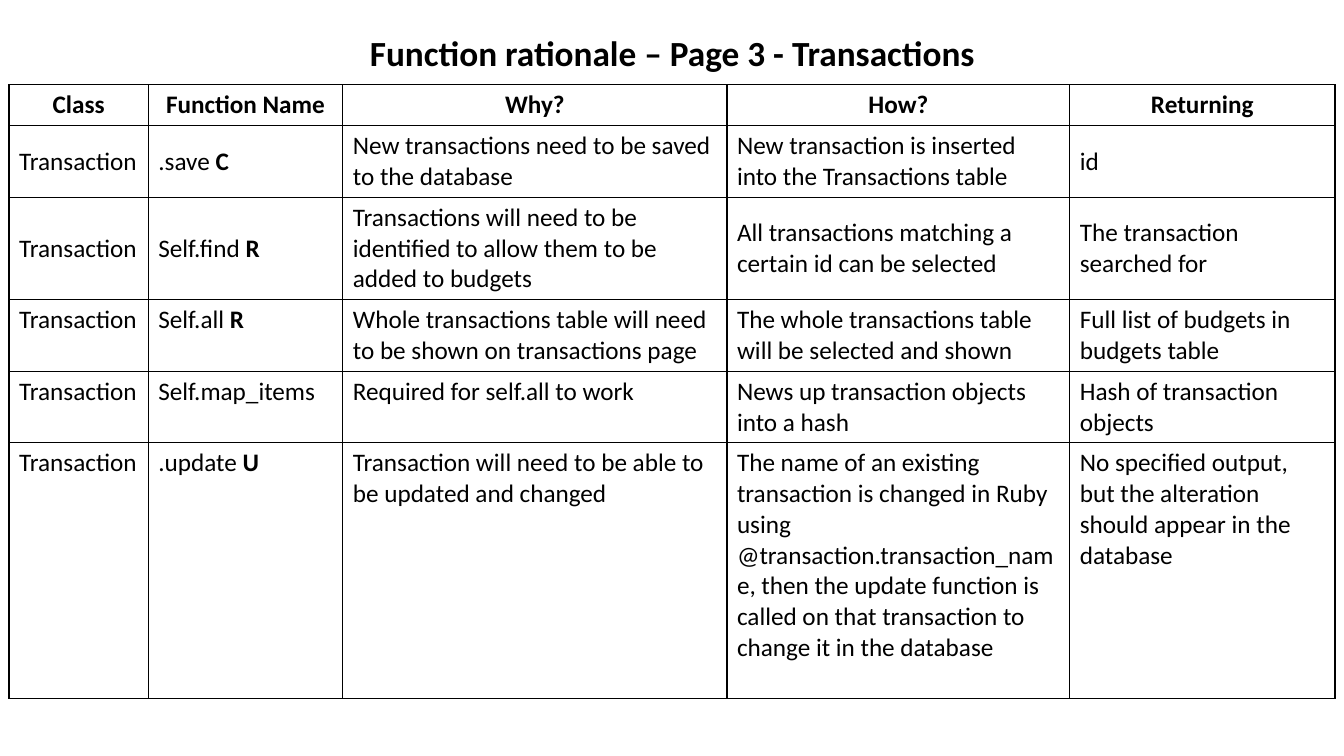
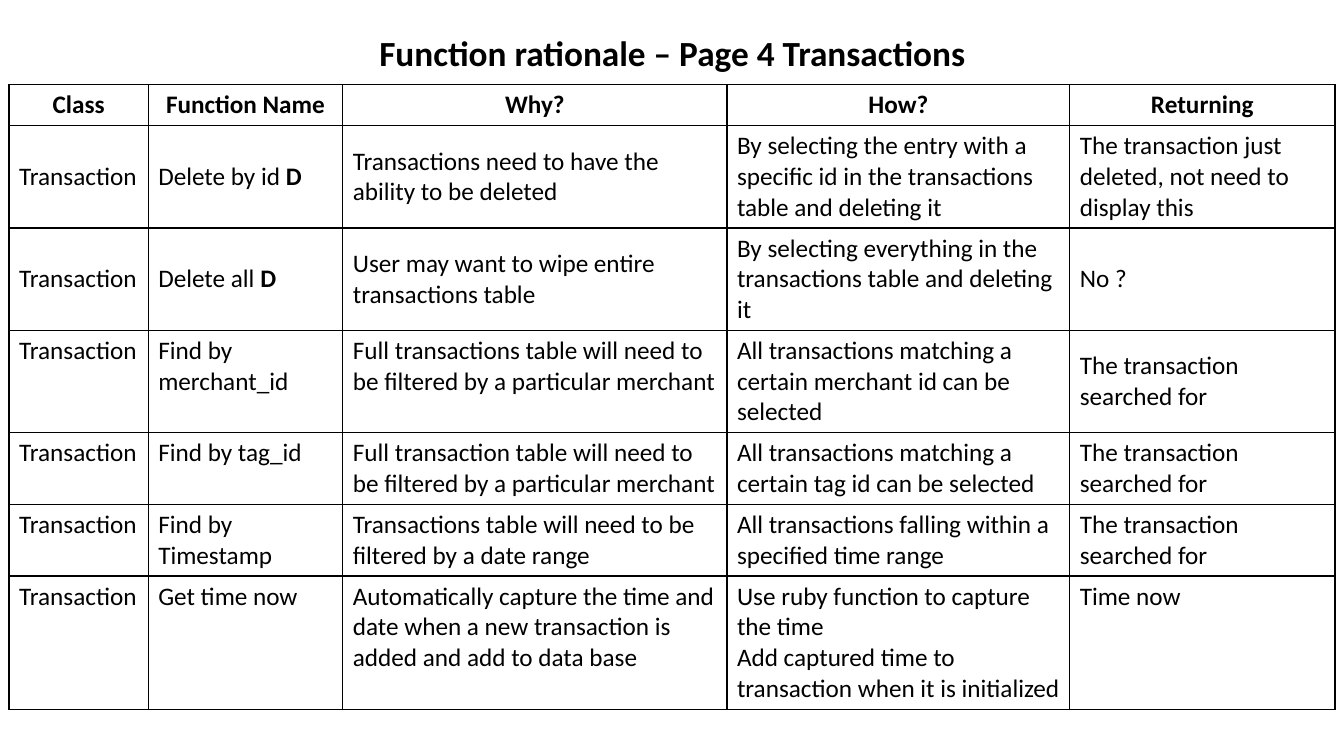
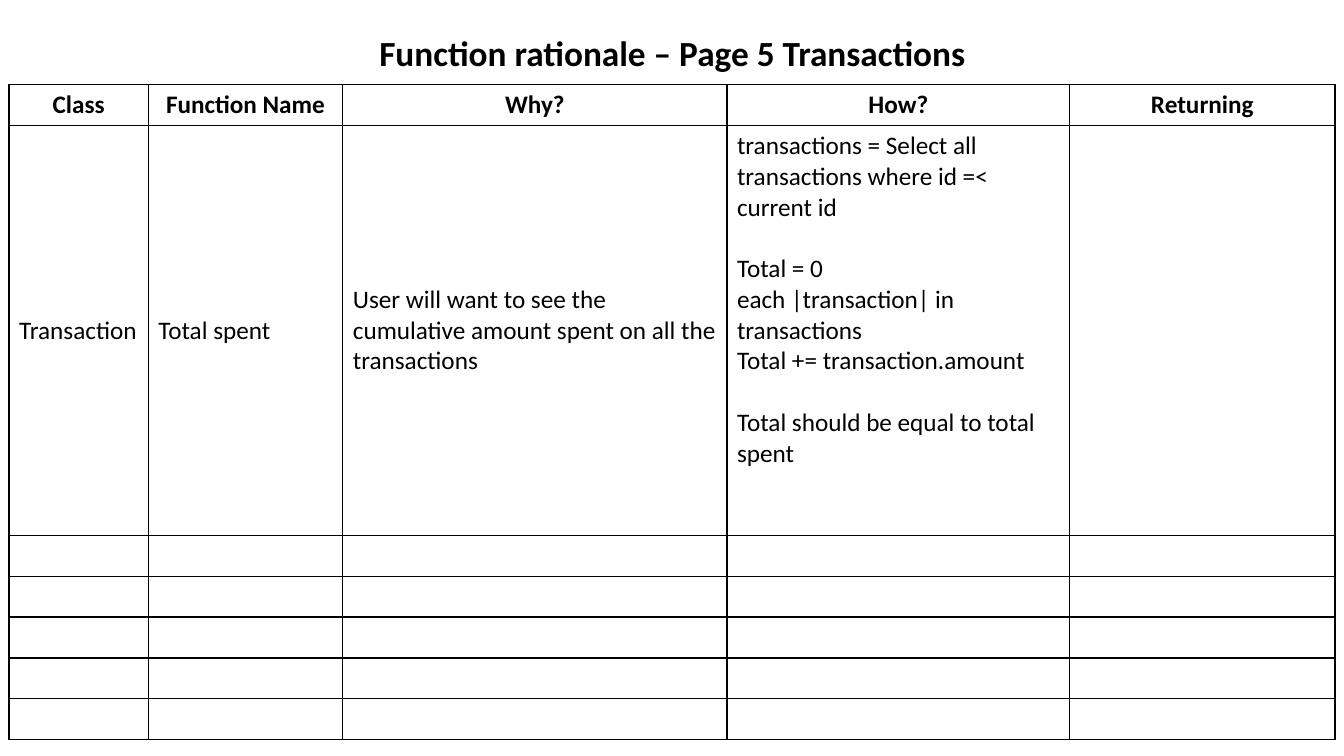
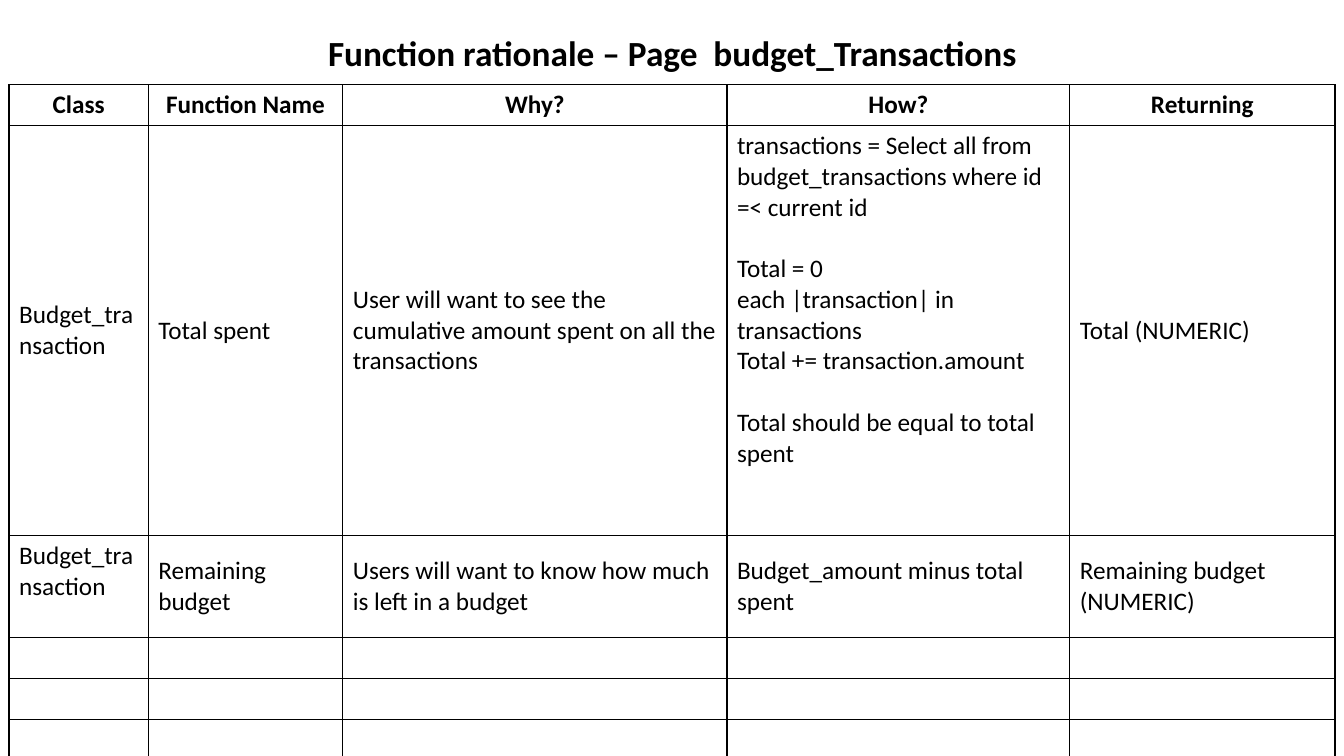
from dataclasses import dataclass

from lxml.etree import SubElement
from pptx import Presentation
from pptx.dml.color import RGBColor
from pptx.enum.text import MSO_ANCHOR as Anchor, MSO_AUTO_SIZE as AutoSize, PP_ALIGN as Align
from pptx.oxml.ns import qn
from pptx.util import Inches, Pt


@dataclass(frozen=True)
class Theme:
    font: str = "Calibri"
    ink: str = "000000"
    title_size: float = 25.2
    text_size: float = 18
    paragraph_gap: float = 22
    border: float = 1
    line_height: float = 0.305
    cell_padding: float = 0.1


@dataclass(frozen=True)
class Box:
    left: float
    top: float
    width: float
    height: float = 0


@dataclass(frozen=True)
class Entry:
    lines: int
    anchors: str
    cells: tuple


THEME = Theme()
TITLE_BOX = Box(0.92, 0.4, 11.5, 0.29)
TABLE_BOX = Box(0.09, 0.84, 13.15)
COLUMN_SHARES = (1.38, 1.93, 3.81, 3.4, 2.63)
HEADINGS = ("Class", "Function Name", "Why?", "How?", "Returning")
ANCHORS = {"t": Anchor.TOP, "m": Anchor.MIDDLE}
BLANK = Entry(1, "ttttt", ("",) * 5)
SEARCHED = "The transaction searched for"
CUMULATIVE = "User will want to see the cumulative amount spent on all the transactions"
TOTALLING = (
    "\n\nTotal = 0\neach |transaction| in transactions\n"
    "Total += transaction.amount\n\nTotal should be equal to total spent"
)

PAGES = {
    "Function rationale – Page 3 - Transactions": [
        Entry(2, "mmmmm", (
            "Transaction", ".save **C",
            "New transactions need to be saved to the database",
            "New transaction is inserted into the Transactions table", "id")),
        Entry(3, "mmmmm", (
            "Transaction", "Self.find **R",
            "Transactions will need to be identified to allow them to be added to budgets",
            "All transactions matching a certain id can be selected", SEARCHED)),
        Entry(2, "ttttt", (
            "Transaction", "Self.all **R",
            "Whole transactions table will need to be shown on transactions page",
            "The whole transactions table will be selected and shown",
            "Full list of budgets in budgets table")),
        Entry(2, "ttttt", (
            "Transaction", "Self.map_items", "Required for self.all to work",
            "News up transaction objects into a hash",
            "Hash of transaction objects")),
        Entry(8, "ttttt", (
            "Transaction", ".update **U",
            "Transaction will need to be able to be updated and changed",
            "The name of an existing transaction is changed in Ruby using "
            "@transaction.transaction_name, then the update function is called "
            "on that transaction to change it in the database",
            "No specified output, but the alteration should appear in the database")),
    ],
    "Function rationale – Page 4 Transactions": [
        Entry(3, "mmmmm", (
            "Transaction", "Delete by id **D",
            "Transactions need to have the ability to be deleted",
            "By selecting the entry with a specific id in the transactions table and deleting it",
            "The transaction just deleted, not need to display this")),
        Entry(3, "mmmmm", (
            "Transaction", "Delete all **D",
            "User may want to wipe entire transactions table",
            "By selecting everything in the transactions table and deleting it", "No ?")),
        Entry(3, "tttmm", (
            "Transaction", "Find by merchant_id",
            "Full transactions table will need to be filtered by a particular merchant",
            "All transactions matching a certain merchant id can be selected", SEARCHED)),
        Entry(2, "tttmm", (
            "Transaction", "Find by tag_id",
            "Full transaction table will need to be filtered by a particular merchant",
            "All transactions matching a certain tag id can be selected", SEARCHED)),
        Entry(2, "tttmm", (
            "Transaction", "Find by Timestamp",
            "Transactions table will need to be filtered by a date range",
            "All transactions falling within a specified time range", SEARCHED)),
        Entry(4, "ttttt", (
            "Transaction", "Get time now",
            "Automatically capture the time and date when a new transaction is added "
            "and add to data base",
            "Use ruby function to capture the time\n"
            "Add captured time to transaction when it is initialized",
            "Time now")),
    ],
    "Function rationale – Page 5 Transactions": [
        Entry(13, "mmmtm", (
            "Transaction", "Total spent", CUMULATIVE,
            "transactions = Select all transactions where id =< current id" + TOTALLING, "")),
        *[BLANK] * 5,
    ],
    "Function rationale – Page  budget_Transactions": [
        Entry(13, "mmmtm", (
            "Budget_transaction", "Total spent", CUMULATIVE,
            "transactions = Select all from budget_transactions where id =< current id"
            + TOTALLING,
            "Total (NUMERIC)")),
        Entry(3, "tmmmm", (
            "Budget_transaction", "Remaining budget",
            "Users will want to know how much is left in a budget",
            "Budget_amount minus total spent", "Remaining budget (NUMERIC)")),
        *[BLANK] * 3,
    ],
}


def add_run(paragraph, text, size, bold):
    run = paragraph.add_run()
    run.text = text
    run.font.name = THEME.font
    run.font.size = Pt(size)
    run.font.bold = bold
    run.font.color.rgb = RGBColor.from_string(THEME.ink)


def place_title(slide, text, box):
    title = slide.shapes.title
    title.left, title.top = Inches(box.left), Inches(box.top)
    title.width, title.height = Inches(box.width), Inches(box.height)
    frame = title.text_frame
    frame.word_wrap = True
    frame.auto_size = AutoSize.NONE
    frame.vertical_anchor = Anchor.MIDDLE
    heading = frame.paragraphs[0]
    heading.alignment = Align.CENTER
    heading.line_spacing = 0.9
    add_run(heading, text, THEME.title_size, True)


def outline_cell(cell):
    properties = cell._tc.get_or_add_tcPr()
    for side in ("lnL", "lnR", "lnT", "lnB"):
        edge = SubElement(properties, qn(f"a:{side}"), w=str(Pt(THEME.border)))
        ink = SubElement(edge, qn("a:solidFill"))
        SubElement(ink, qn("a:srgbClr"), val=THEME.ink)
    cell.fill.background()


def write_cell(cell, text, anchor, header):
    outline_cell(cell)
    cell.vertical_anchor = anchor
    frame = cell.text_frame
    fresh = True
    for block_number, block in enumerate(text.split("\n\n")):
        for line_number, line in enumerate(block.split("\n")):
            paragraph = frame.paragraphs[0] if fresh else frame.add_paragraph()
            fresh = False
            paragraph.alignment = Align.CENTER if header else Align.LEFT
            if block_number and not line_number:
                paragraph.space_before = Pt(THEME.paragraph_gap)
            plain, _, operation = line.partition("**")
            if plain:
                add_run(paragraph, plain, THEME.text_size, header)
            if operation:
                add_run(paragraph, operation, THEME.text_size, True)


def place_rationale(slide, entries, box):
    rows = [Entry(1, "ttttt", HEADINGS), *entries]
    heights = [row.lines * THEME.line_height + THEME.cell_padding for row in rows]
    rationale = slide.shapes.add_table(
        len(rows), len(HEADINGS), Inches(box.left), Inches(box.top),
        Inches(box.width), Inches(sum(heights))).table
    rationale.horz_banding = False
    for column, share in zip(rationale.columns, COLUMN_SHARES):
        column.width = Inches(box.width * share / sum(COLUMN_SHARES))
    for row_number, (entry, height) in enumerate(zip(rows, heights)):
        rationale.rows[row_number].height = Inches(height)
        for column_number, (text, anchor) in enumerate(zip(entry.cells, entry.anchors)):
            write_cell(rationale.cell(row_number, column_number), text,
                       ANCHORS[anchor], row_number == 0)


def build_page(deck, title, entries):
    slide = deck.slides.add_slide(deck.slide_layouts.get_by_name("Title Only"))
    place_title(slide, title, TITLE_BOX)
    place_rationale(slide, entries, TABLE_BOX)


def main():
    deck = Presentation()
    deck.slide_width, deck.slide_height = Inches(13.33), Inches(7.5)
    for title, entries in PAGES.items():
        build_page(deck, title, entries)
    deck.save("out.pptx")


main()
